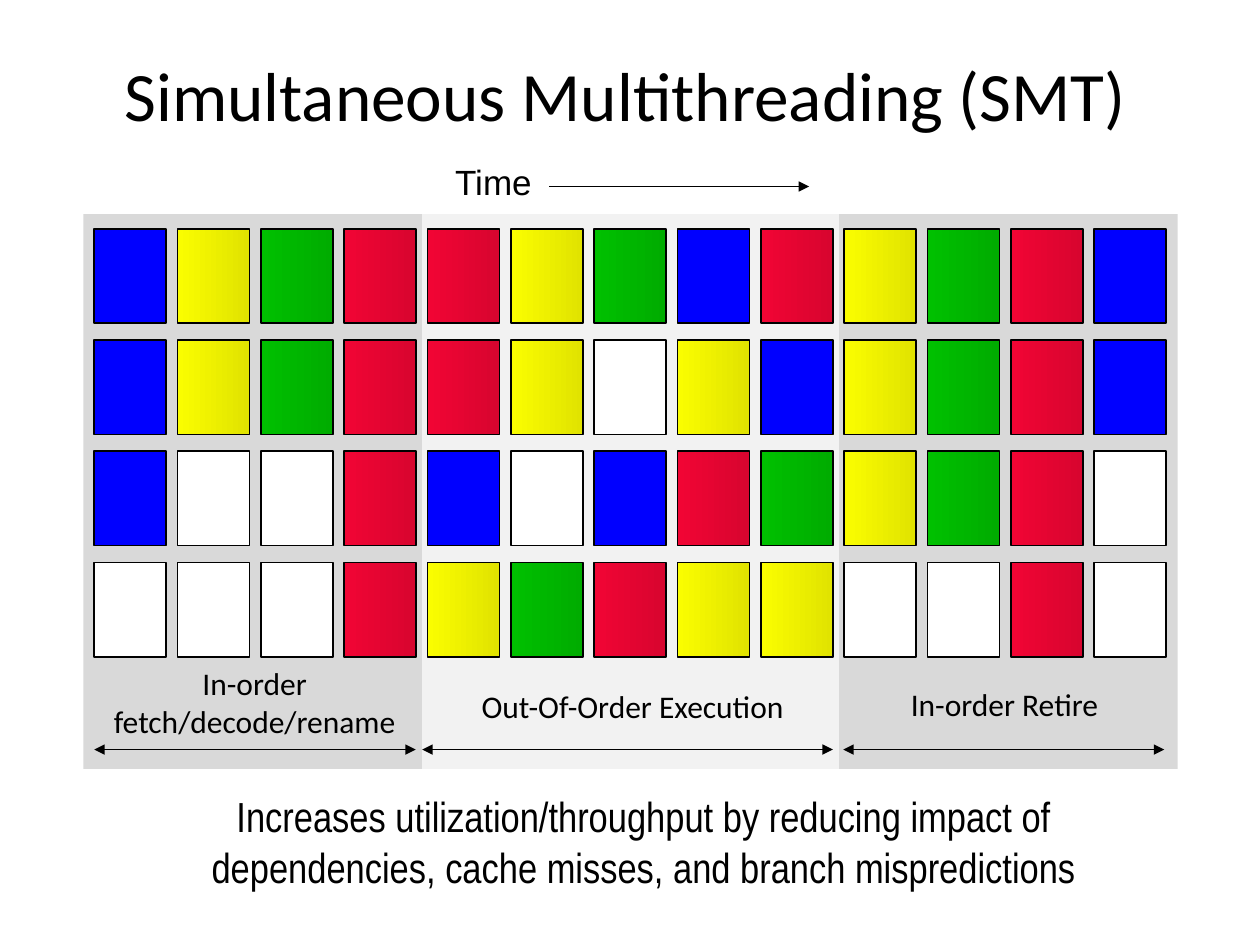
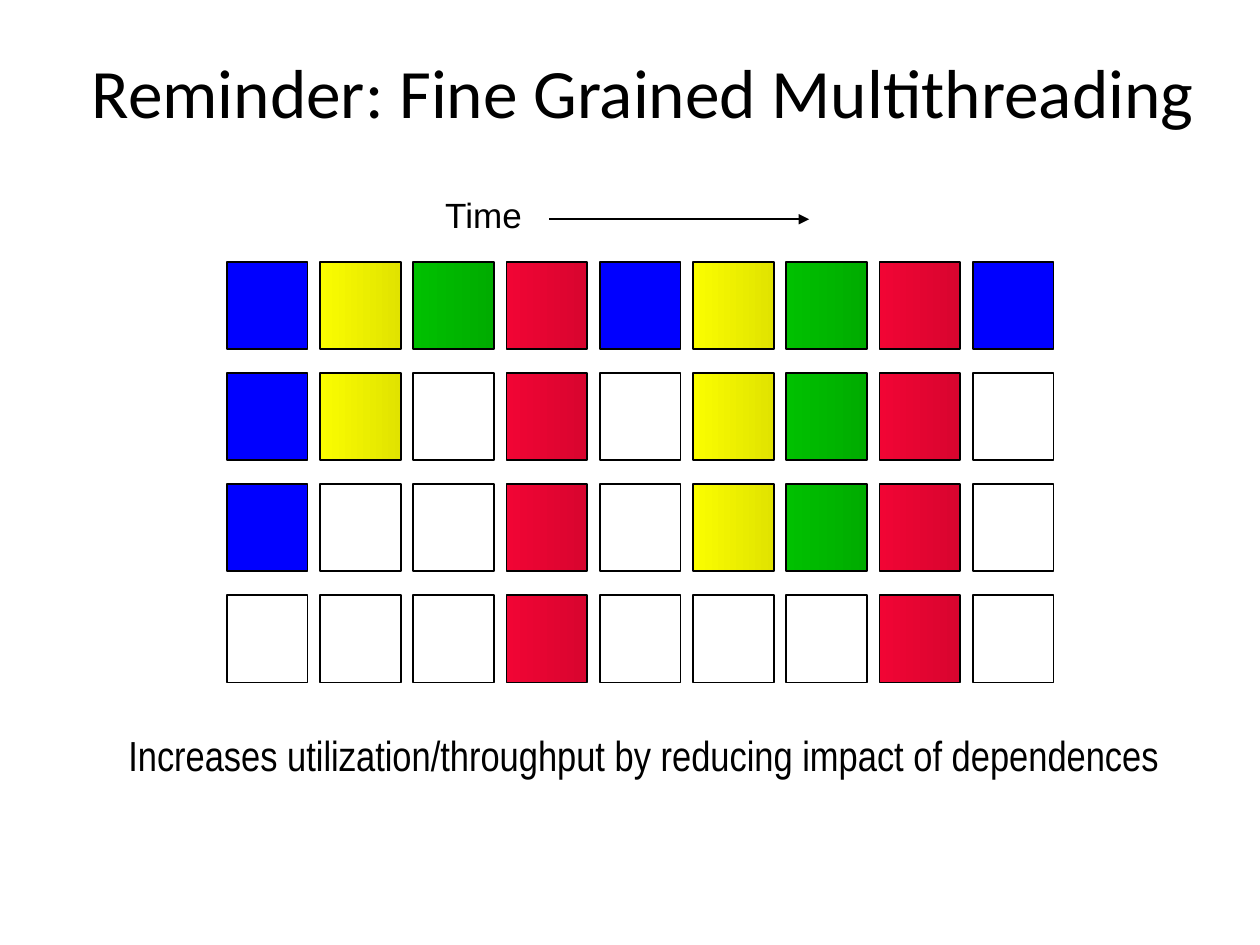
import pptx
import pptx.util
import pptx.dml.color
import pptx.enum.shapes
import pptx.enum.text
import pptx.oxml.ns
from lxml import etree

Cm, Pt = pptx.util.Cm, pptx.util.Pt
RGB = pptx.dml.color.RGBColor
ALIGN = pptx.enum.text.PP_ALIGN
ANCHOR = pptx.enum.text.MSO_ANCHOR
RECTANGLE = pptx.enum.shapes.MSO_SHAPE.RECTANGLE
STRAIGHT = pptx.enum.shapes.MSO_CONNECTOR.STRAIGHT
qn = pptx.oxml.ns.qn

BLACK = RGB(0x00, 0x00, 0x00)
WHITE = RGB(0xFF, 0xFF, 0xFF)
LIGHT_GREY = RGB(0xF2, 0xF2, 0xF2)
MID_GREY = RGB(0xD9, 0xD9, 0xD9)
BLUE = RGB(0x00, 0x00, 0xFF)
YELLOW = (RGB(0xFA, 0xFD, 0x00), RGB(0xE1, 0xE3, 0x00))
GREEN = (RGB(0x00, 0xC0, 0x00), RGB(0x00, 0xAC, 0x00))
RED = (RGB(0xF1, 0x05, 0x34), RGB(0xD8, 0x05, 0x2F))

# Content: one letter per issue slot (thread colour), a dot for an idle slot
THREADS = {"B": BLUE, "Y": YELLOW, "G": GREEN, "R": RED}
TIME_ARROW = (11.07, 16.31)

SLIDES = [
    {
        "title": ("Simultaneous Multithreading (SMT)", (0.51, 1.07, 24.2, 1.63)),
        "takeaway": (["Increases utilization/throughput by reducing impact of",
                      "dependencies, cache misses, and branch mispredictions"],
                     (3.84, 15.82, 18.26, 2.31)),
        "time": (8.71, 3.76),
        "slots": ["BYGRRYGBRYGRB",
                  "BYGRRY.YBYGRB",
                  "B..RB.BRGYGR.",
                  "...RYGRYY..R."],
        "grid": {"left": 1.9, "top": 4.62, "pitch": (1.68, 2.24),
                 "size": (1.45, 1.9), "idle": WHITE},
        # band width, band colour, arrow span, label lines, label box
        "stages": [
            (6.83, MID_GREY, (1.9, 8.38),
             ["In-order", "fetch/decode/rename"], (2.01, 13.26, 6.25, 1.8)),
            (8.4, LIGHT_GREY, (8.51, 16.79),
             ["Out-Of-Order Execution"], (9.4, 13.72, 6.71, 1.02)),
            (6.83, MID_GREY, (17.0, 23.47),
             ["In-order Retire"], (18.08, 13.69, 4.34, 1.02)),
        ],
    },
    {
        "title": ("Reminder: Fine Grained Multithreading", (0.99, 1.02, 23.95, 1.63)),
        "takeaway": (["Increases utilization/throughput by reducing impact of dependences"],
                     (2.29, 14.58, 21.36, 1.27)),
        "time": (8.51, 4.42),
        "slots": ["BYGRBYGRB",
                  "BY.R.YGR.",
                  "B..R.YGR.",
                  "...R...R."],
        "grid": {"left": 4.57, "top": 5.28, "pitch": (1.88, 2.24),
                 "size": (1.63, 1.76), "idle": None},
        "stages": [],
    },
]
BANDS_LEFT, BANDS_TOP, BANDS_HEIGHT = 1.68, 4.32, 11.18
STAGE_ARROW_Y = 15.11


def add_text(slide, lines, box, *, size, font, align=ALIGN.CENTER,
             anchor=ANCHOR.TOP, wrap=False):
    frame = slide.shapes.add_textbox(*map(Cm, box)).text_frame
    frame.word_wrap = wrap
    frame.vertical_anchor = anchor
    for index, line in enumerate(lines):
        paragraph = frame.add_paragraph() if index else frame.paragraphs[0]
        paragraph.alignment = align
        run = paragraph.add_run()
        run.text = line
        run.font.size = Pt(size)
        run.font.name = font
        run.font.color.rgb = BLACK


def add_rectangle(shapes, box, fill, outlined=False):
    rectangle = shapes.add_shape(RECTANGLE, *map(Cm, box))
    rectangle.shadow.inherit = False
    if fill is None:
        rectangle.fill.background()
    elif isinstance(fill, RGB):
        rectangle.fill.solid()
        rectangle.fill.fore_color.rgb = fill
    else:
        rectangle.fill.gradient()
        rectangle.fill.gradient_angle = 0
        for position, (stop, colour) in enumerate(zip(rectangle.fill.gradient_stops, fill)):
            stop.position = position
            stop.color.rgb = colour
    if outlined:
        rectangle.line.color.rgb = BLACK
        rectangle.line.width = Pt(1)
    else:
        rectangle.line.fill.background()


def add_arrow(slide, span, y, ends=("tailEnd",)):
    start, stop = span
    arrow = slide.shapes.add_connector(STRAIGHT, Cm(start), Cm(y), Cm(stop), Cm(y))
    arrow.line.color.rgb = BLACK
    arrow.line.width = Pt(1)
    outline = arrow.line._get_or_add_ln()
    for end in ends:
        etree.SubElement(outline, qn(f"a:{end}"), type="triangle")
    etree.SubElement(arrow._element.spPr, qn("a:effectLst"))


def add_stages(slide, stages):
    left = BANDS_LEFT
    for width, colour, span, label, label_box in stages:
        add_rectangle(slide.shapes, (left, BANDS_TOP, width, BANDS_HEIGHT), colour)
        add_arrow(slide, span, STAGE_ARROW_Y, ends=("headEnd", "tailEnd"))
        add_text(slide, label, label_box, size=18, font="Calibri")
        left += width


def add_slots(slide, slots, grid):
    group = slide.shapes.add_group_shape()
    column_pitch, row_pitch = grid["pitch"]
    for row, threads in enumerate(slots):
        for column, thread in enumerate(threads):
            corner = (grid["left"] + column * column_pitch, grid["top"] + row * row_pitch)
            add_rectangle(group.shapes, corner + grid["size"],
                          THREADS.get(thread, grid["idle"]), outlined=True)


def build_slide(deck, content):
    slide = deck.slides.add_slide(deck.slide_layouts[6])
    # Pipeline stages behind the issue slots
    add_stages(slide, content["stages"])
    add_slots(slide, content["slots"], content["grid"])
    # Title and takeaway
    title, title_box = content["title"]
    add_text(slide, [title], title_box, size=39.6, font="Calibri",
             anchor=ANCHOR.MIDDLE, wrap=True)
    takeaway, takeaway_box = content["takeaway"]
    add_text(slide, takeaway, takeaway_box, size=24, font="Arial Narrow")
    # Time axis
    time_left, time_y = content["time"]
    add_text(slide, ["Time"], (time_left, time_y - 0.64, 2.26, 1.09), size=20,
             font="Arial", align=ALIGN.RIGHT, wrap=True)
    add_arrow(slide, TIME_ARROW, time_y)


def main():
    deck = pptx.Presentation()
    deck.slide_width, deck.slide_height = Cm(25.4), Cm(19.05)
    for content in SLIDES:
        build_slide(deck, content)
    deck.save("out.pptx")


if __name__ == "__main__":
    main()
